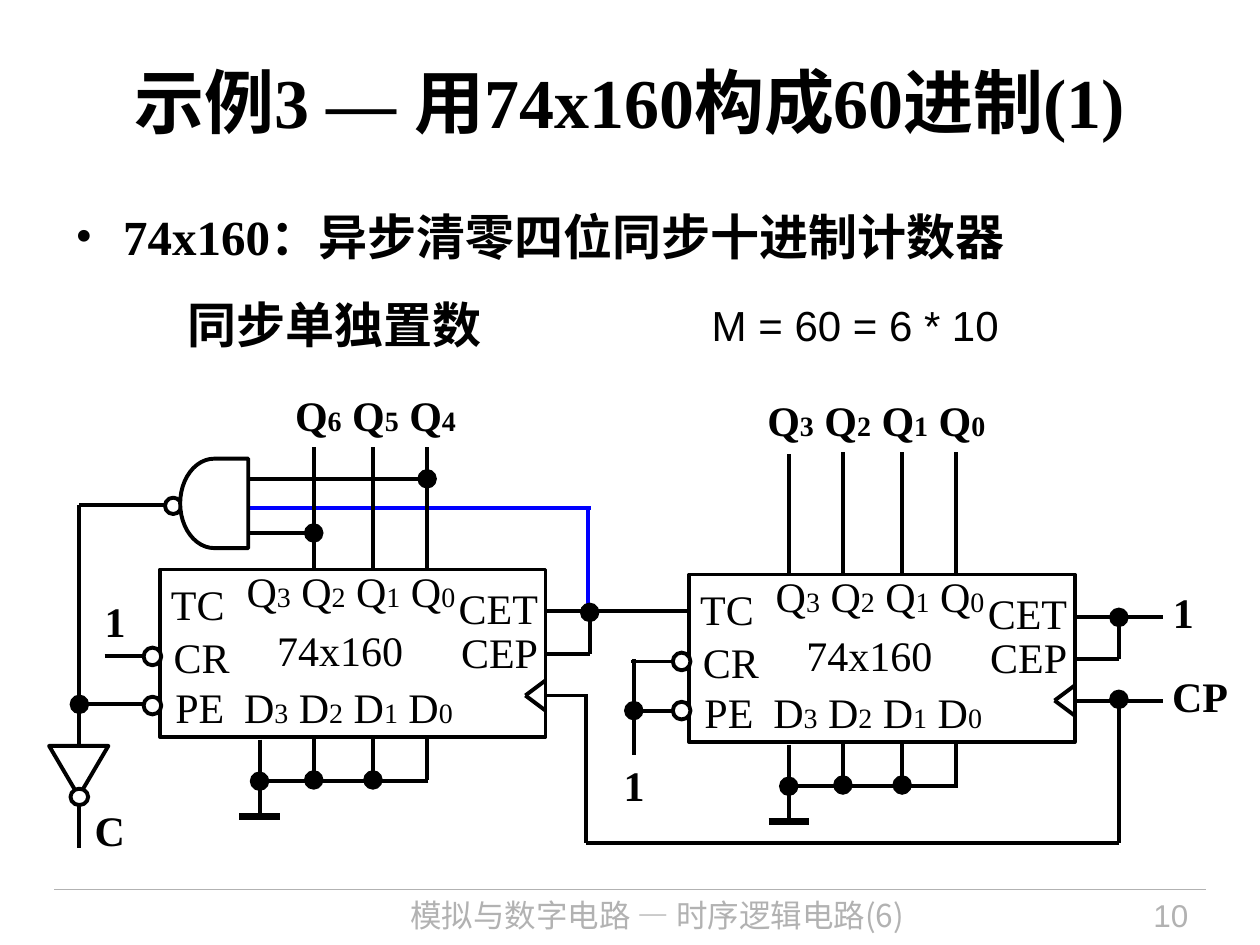
from dataclasses import dataclass, replace
from itertools import groupby

import pptx
import pptx.dml.color
import pptx.enum.shapes
import pptx.enum.text
import pptx.oxml
import pptx.oxml.ns
import pptx.slide
import pptx.util
from pptx.util import Inches

ALIGN = pptx.enum.text.PP_ALIGN
ANCHOR = pptx.enum.text.MSO_ANCHOR
SHAPE = pptx.enum.shapes.MSO_SHAPE
SERIF, SANS, HAN = "Times New Roman", "Arial", "Noto Sans CJK SC"
BLACK, WHITE, GREY, BLUE = "000000", "FFFFFF", "B2B2B2", "0000FF"


@dataclass
class Wire:
    x1: float
    y1: float
    x2: float
    y2: float
    dot: bool = False  # junction at the second end
    width: float = 2.25
    color: str = BLACK


@dataclass
class Label:
    text: str
    left: float
    top: float
    width: float
    height: float = 0.5
    size: float = 24
    font: str = SERIF
    color: str = BLACK
    bold: bool = False
    subscripts: bool = False
    align: ALIGN = ALIGN.CENTER
    anchor: ANCHOR = ANCHOR.MIDDLE
    tight: bool = False  # no margins, close line spacing
    bullet: bool = False


@dataclass
class Part:
    shape: SHAPE
    left: float
    top: float
    width: float
    height: float
    fill: str | None = WHITE
    rotation: float = 0


def rgb(color: str) -> pptx.dml.color.RGBColor:
    return pptx.dml.color.RGBColor.from_string(color)


def element(tag: str, **attributes: str):
    node = pptx.oxml.parse_xml(f"<{tag} {pptx.oxml.ns.nsdecls('a')}/>")
    for name, value in attributes.items():
        node.set(name, value)
    return node


def draw_wire(slide: pptx.slide.Slide, wire: Wire) -> None:
    ends = (Inches(v) for v in (wire.x1, wire.y1, wire.x2, wire.y2))
    line = slide.shapes.add_connector(pptx.enum.shapes.MSO_CONNECTOR.STRAIGHT, *ends)
    line.line.color.rgb = rgb(wire.color)
    line.line.width = pptx.util.Pt(wire.width)
    properties = line._element.spPr
    if wire.dot:
        properties.ln.append(element("a:tailEnd", type="oval", w="lg", len="lg"))
    properties.append(element("a:effectLst"))


def draw_part(slide: pptx.slide.Slide, part: Part) -> None:
    place = (Inches(v) for v in (part.left, part.top, part.width, part.height))
    shape = slide.shapes.add_shape(part.shape, *place)
    shape.shadow.inherit = False
    shape.rotation = part.rotation
    if part.fill:
        shape.fill.solid()
        shape.fill.fore_color.rgb = rgb(part.fill)
    else:
        shape.fill.background()
    shape.line.color.rgb = rgb(BLACK)
    shape.line.width = pptx.util.Pt(2.25)


def draw_label(slide: pptx.slide.Slide, label: Label) -> None:
    place = (Inches(v) for v in (label.left, label.top, label.width, label.height))
    frame = slide.shapes.add_textbox(*place).text_frame
    frame.word_wrap = label.bullet
    frame.vertical_anchor = label.anchor
    para = frame.paragraphs[0]
    para.alignment = label.align
    if label.align == ALIGN.CENTER:  # the whole width is free for the text
        frame.margin_left = frame.margin_right = 0
    if label.tight:
        frame.margin_top = frame.margin_bottom = 0
        para.line_spacing = 0.9
    if label.bullet:
        properties = para._p.get_or_add_pPr()
        properties.set("marL", str(Inches(0.38)))
        properties.set("indent", str(-Inches(0.38)))
        properties.append(element("a:buFont", typeface=SERIF))
        properties.append(element("a:buChar", char="•"))
    pieces = [(False, label.text)]
    if label.subscripts:
        pieces = [(low, "".join(group)) for low, group in groupby(label.text, str.isdigit)]
    for low, text in pieces:
        span = para.add_run()
        span.text = text
        span.font.size = pptx.util.Pt(16 if low else label.size)
        span.font.name = label.font
        span.font.bold = label.bold
        span.font.color.rgb = rgb(label.color)
        span.font._element.append(element("a:ea", typeface=HAN))


# Counter chip: everything is measured from its upper left corner
PIN_X = (0.79, 1.22, 1.69, 2.12)
CHIP_LABELS = (
    Label("Q3 Q2 Q1 Q0", 0.59, -0.08, 1.85, subscripts=True),
    Label("TC", -0.01, 0.02, 0.62),
    Label("CET", 2.27, 0.05, 0.83),
    Label("CEP", 2.29, 0.4, 0.81),
    Label("74x160", 0.83, 0.39, 1.2),
    Label("CR", 0.01, 0.44, 0.64),
    Label("PE", 0.02, 0.84, 0.59),
    Label("D3 D2 D1 D0", 0.57, 0.84, 1.85, subscripts=True),
)
CHIP_WIRES = (
    Wire(3.06, 0.88, 2.9, 1), Wire(2.9, 1, 3.06, 1.12),  # clock mark
    Wire(3.06, 0.67, 3.41, 0.67), Wire(3.41, 0.67, 3.41, 0.34, dot=True),  # CEP to CET
    *(Wire(x, 0, x, -0.97) for x in PIN_X[1:]),  # outputs
    *(Wire(x, 1.34, x, 1.67, dot=x in PIN_X[1:3]) for x in PIN_X[1:]),  # data inputs
    Wire(2.13, 1.68, 0.79, 1.68, dot=True),
    Wire(0.79, 1.35, 0.79, 1.96), Wire(0.63, 1.96, 0.95, 1.96, width=4.5),  # ground
)
CHIP_PARTS = (
    Part(SHAPE.RECTANGLE, 0, 0, 3.06, 1.33, fill=None),
    *(Part(SHAPE.OVAL, -0.13, y, 0.14, 0.14) for y in (0.62, 1.01)),
)


def draw_chip(slide: pptx.slide.Slide, left: float, top: float) -> None:
    for wire in CHIP_WIRES:
        draw_wire(slide, replace(wire, x1=wire.x1 + left, y1=wire.y1 + top,
                                 x2=wire.x2 + left, y2=wire.y2 + top))
    for item, draw in [(p, draw_part) for p in CHIP_PARTS] + [(t, draw_label) for t in CHIP_LABELS]:
        draw(slide, replace(item, left=item.left + left, top=item.top + top))


WIRES = (
    Wire(0.43, 7.06, 9.57, 7.06, width=0.75, color=GREY),  # footer rule
    Wire(4.67, 4.03, 4.67, 4.85, color=BLUE), Wire(1.97, 4.03, 4.69, 4.03, color=BLUE),
    # Gate inputs and the clear line
    Wire(1.97, 3.8, 3.39, 3.8, dot=True), Wire(1.97, 4.23, 2.49, 4.23, dot=True),
    Wire(1.3, 4.01, 0.63, 4.01), Wire(0.63, 4.01, 0.63, 5.59),
    Wire(0.63, 6.73, 0.63, 5.59, dot=True), Wire(0.63, 5.59, 1.27, 5.59),
    Wire(0.83, 5.21, 1.26, 5.21),
    # Between the chips
    Wire(4.33, 4.85, 5.47, 4.85), Wire(6.26, 4.56, 6.26, 3.6),
    Wire(5.03, 5.99, 5.03, 5.23), Wire(5.01, 5.25, 5.46, 5.25),
    Wire(5.46, 5.64, 5.03, 5.64, dot=True),
    # Clock and enable
    Wire(8.54, 4.9, 9.23, 4.9), Wire(8.54, 5.56, 9.23, 5.56),
    Wire(8.88, 6.69, 8.88, 5.55, dot=True), Wire(4.65, 6.69, 8.88, 6.69),
    Wire(4.65, 6.69, 4.65, 5.51), Wire(4.33, 5.52, 4.66, 5.52),
)
PARTS = (
    Part(SHAPE.OVAL, 1.31, 3.95, 0.13, 0.13),
    Part(SHAPE.FLOWCHART_DELAY, 1.43, 3.64, 0.54, 0.71, rotation=180),
    Part(SHAPE.FLOWCHART_MERGE, 0.39, 5.92, 0.47, 0.4),
    Part(SHAPE.OVAL, 0.56, 6.26, 0.14, 0.13),
)
TERMINALS = (("1", 0.83, 4.77, 0.16), ("1", 9.31, 4.7, 0.16), ("1", 4.95, 6.07, 0.16),
             ("CP", 9.23, 5.37, 0.59), ("C", 0.75, 6.43, 0.24))
LABELS = (
    Label("示例3 — 用74x160构成60进制(1)", 0.5, 0.17, 9, 1.25, size=40, bold=True),
    Label("74x160：异步清零四位同步十进制计数器", 0.5, 1.59, 9, 0.85, size=28, bold=True,
          align=ALIGN.LEFT, anchor=ANCHOR.TOP, bullet=True),
    Label("同步单独置数", 1.39, 2.29, 2.53, 0.57, size=28, font=SANS, bold=True,
          align=ALIGN.LEFT, anchor=ANCHOR.TOP),
    Label("M = 60 = 6 * 10", 5.55, 2.33, 2.48, font=SANS, align=ALIGN.LEFT, anchor=ANCHOR.TOP),
    Label("Q6 Q5 Q4", 2.24, 3.04, 1.48, bold=True, subscripts=True),
    Label("Q3 Q2 Q1 Q0", 5.99, 3.08, 1.93, bold=True, subscripts=True),
    *(Label(text, x, y, width, 0.36, bold=True, tight=True, anchor=ANCHOR.TOP)
      for text, x, y, width in TERMINALS),
    Label("模拟与数字电路 — 时序逻辑电路(6)", 2.4, 7.06, 5.63, 0.44, size=18, font=HAN,
          color=GREY, anchor=ANCHOR.TOP),
    Label("10", 8.2, 7.06, 1.33, 0.44, size=18, font=SANS, color=GREY,
          align=ALIGN.RIGHT, anchor=ANCHOR.TOP),
)


def main() -> None:
    deck = pptx.Presentation()
    deck.slide_width, deck.slide_height = Inches(10), Inches(7.5)
    slide = deck.slides.add_slide(deck.slide_layouts[6])
    for wire in WIRES:
        draw_wire(slide, wire)
    for left, top in ((1.27, 4.52), (5.47, 4.56)):
        draw_chip(slide, left, top)
    for part in PARTS:
        draw_part(slide, part)
    for label in LABELS:
        draw_label(slide, label)
    deck.save("out.pptx")


if __name__ == "__main__":
    main()
